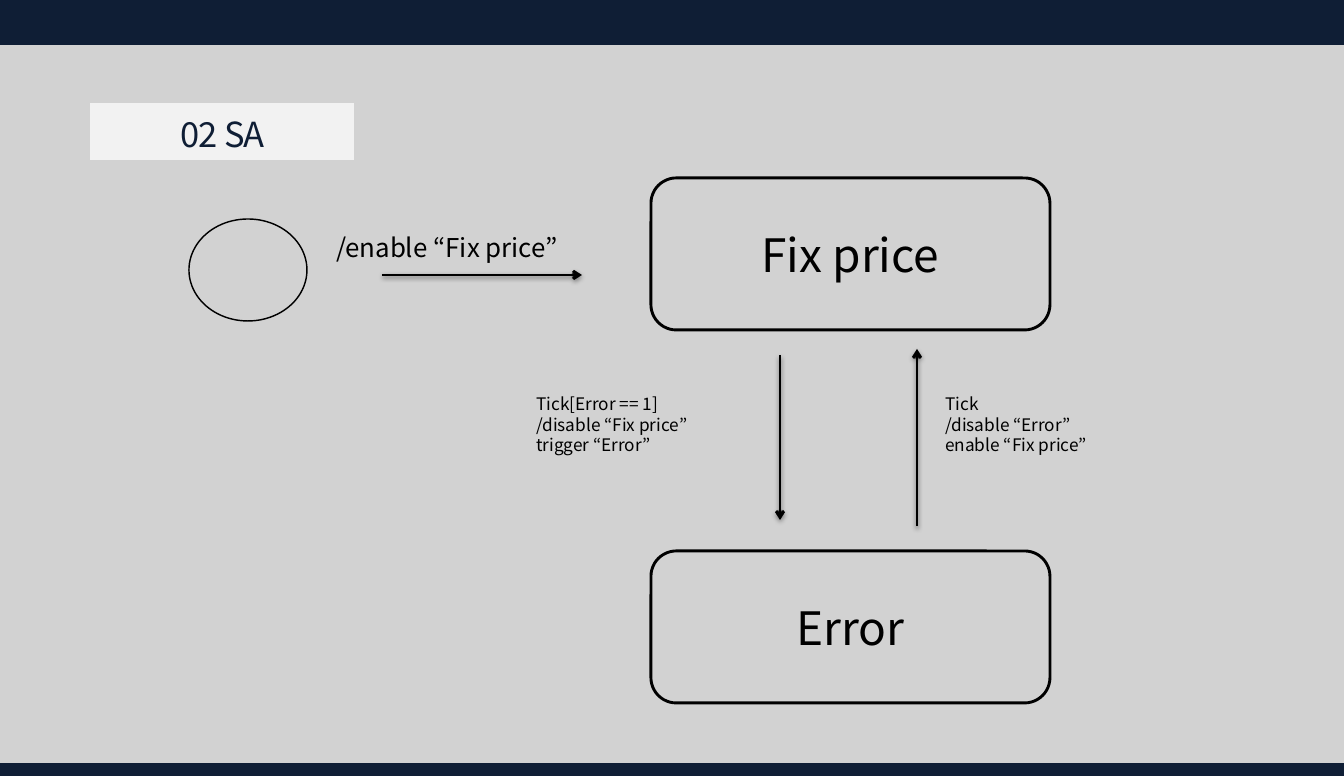
import lxml.etree
import pptx
import pptx.dml.color
import pptx.enum.shapes
import pptx.enum.text
import pptx.oxml
import pptx.oxml.ns
import pptx.util

PX = 914400 / 103.5
WIDTH, HEIGHT = 1344, 776
FONT = "Noto Sans CJK KR"
NAVY = pptx.dml.color.RGBColor(0x0F, 0x1E, 0x35)
BLACK = pptx.dml.color.RGBColor(0, 0, 0)
GREY = pptx.dml.color.RGBColor(0xD2, 0xD2, 0xD2)
PALE = pptx.dml.color.RGBColor(0xF2, 0xF2, 0xF2)
SHAPE = pptx.enum.shapes.MSO_SHAPE
ALIGN = pptx.enum.text.PP_ALIGN

SHADOW = (
    f'<a:effectLst {pptx.oxml.ns.nsdecls("a")}>'
    '<a:outerShdw blurRad="40000" dist="20000" dir="5400000" rotWithShape="0">'
    '<a:srgbClr val="000000"><a:alpha val="38000"/></a:srgbClr>'
    '</a:outerShdw></a:effectLst>'
)


def emu(*lengths):
    return [pptx.util.Emu(round(n * PX)) for n in lengths]


def set_font(font, size, color):
    values = {"name": FONT, "size": pptx.util.Pt(size)}
    for key, value in values.items():
        setattr(font, key, value)
    font.color.rgb = color


def add_block(s, box, color):
    sp = s.shapes.add_shape(SHAPE.RECTANGLE, *emu(*box))
    sp.shadow.inherit = False
    sp.fill.solid()
    sp.fill.fore_color.rgb = color
    sp.line.fill.background()


def add_outline(s, kind, box, weight):
    sp = s.shapes.add_shape(kind, *emu(*box))
    sp.shadow.inherit = False
    sp.fill.background()
    sp.line.color.rgb = BLACK
    sp.line.width = pptx.util.Pt(weight)
    return sp


def add_state(s, box, name):
    sp = add_outline(s, SHAPE.ROUNDED_RECTANGLE, box, 2)
    tf = sp.text_frame
    tf.vertical_anchor = pptx.enum.text.MSO_ANCHOR.MIDDLE
    p = tf.paragraphs[0]
    p.alignment = ALIGN.CENTER
    r = p.add_run()
    r.text = name
    set_font(r.font, 32, BLACK)


def add_text(s, box, lines, size, color=BLACK, align=ALIGN.LEFT, spacing=0):
    """Add one paragraph per line; spacing is in hundredths of a point."""
    tf = s.shapes.add_textbox(*emu(*box)).text_frame
    tf.word_wrap = True
    tf.auto_size = pptx.enum.text.MSO_AUTO_SIZE.SHAPE_TO_FIT_TEXT
    for i, line in enumerate(lines):
        p = tf.add_paragraph() if i else tf.paragraphs[0]
        p.alignment = align
        p.line_spacing = pptx.util.Pt(size * 1.2)
        r = p.add_run()
        r.text = line
        set_font(r.font, size, color)
        if spacing:
            r.font._element.set("spc", str(spacing))


def add_arrow(s, start, end):
    c = s.shapes.add_connector(
        pptx.enum.shapes.MSO_CONNECTOR.STRAIGHT, *emu(*start, *end))
    c.line.color.rgb = BLACK
    c.line.width = pptx.util.Pt(2)
    ln = c.line._get_or_add_ln()
    lxml.etree.SubElement(ln, pptx.oxml.ns.qn("a:tailEnd"), type="arrow")
    c._element.spPr.append(pptx.oxml.parse_xml(SHADOW))


def main():
    prs = pptx.Presentation()
    prs.slide_width, prs.slide_height = emu(WIDTH, HEIGHT)
    s = prs.slides.add_slide(prs.slide_layouts[6])
    s.background.fill.solid()
    s.background.fill.fore_color.rgb = GREY

    add_block(s, (90, 103, 264, 57), PALE)
    add_text(s, (111, 108, 223, 52), ["02 SA"], 24, NAVY, ALIGN.CENTER, -50)
    add_block(s, (0, 0, WIDTH, 45), NAVY)
    add_block(s, (0, 763, WIDTH, 13), NAVY)

    add_outline(s, SHAPE.OVAL, (189, 219, 118, 102), 1)
    for top, name in ((178, "Fix price"), (551, "Error")):
        add_state(s, (651, top, 399, 152), name)

    add_arrow(s, (382, 275), (582, 275))
    add_arrow(s, (780, 355), (780, 520))
    add_arrow(s, (917, 526), (917, 349))

    add_text(s, (326, 227, 347, 41), ["/enable “Fix price”"], 18)
    transitions = (
        (526, ["Tick[Error == 1]", "/disable “Fix price”", "trigger “Error”"]),
        (935, ["Tick", "/disable “Error”", "enable “Fix price”"]),
    )
    for left, lines in transitions:
        add_text(s, (left, 388, 253, 73), lines, 12)

    prs.save("out.pptx")


if __name__ == "__main__":
    main()
